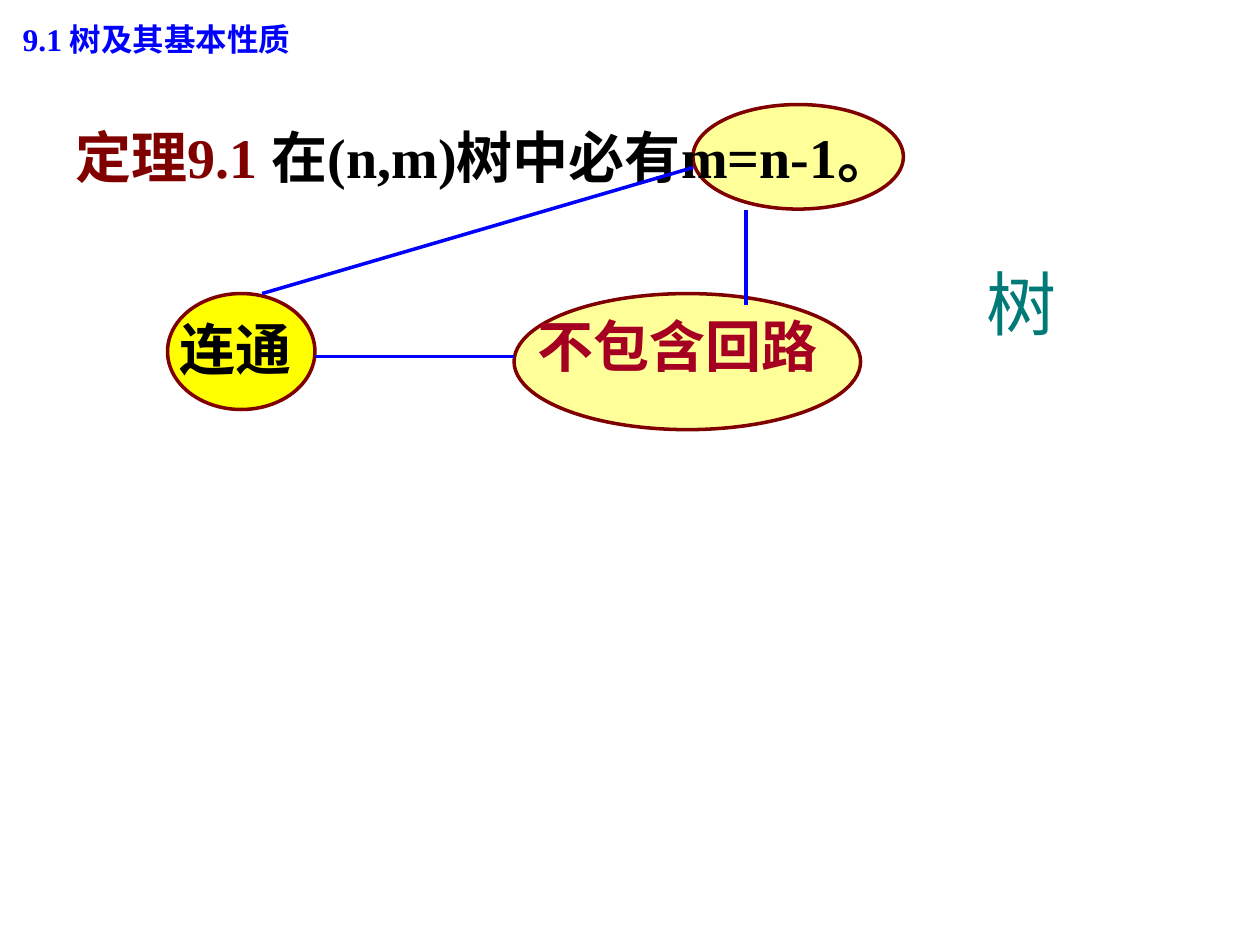
from dataclasses import dataclass

import pptx
import pptx.dml.color
import pptx.enum.shapes
import pptx.enum.text
import pptx.oxml.ns
import pptx.util
from lxml import etree

Inches = pptx.util.Inches
CJK = "Noto Sans CJK SC"
TIMES = "Times New Roman"
MAROON, BLUE, BLACK, PALE_YELLOW = "800000", "0000FF", "000000", "FFFF99"


@dataclass
class Box:
    left: float
    top: float
    width: float
    height: float

    def lengths(self) -> list[int]:
        return [Inches(v) for v in (self.left, self.top, self.width, self.height)]


@dataclass
class Run:
    text: str
    font: str
    color: str
    size: int = 32
    bold: bool = True


@dataclass
class Oval:
    box: Box
    fill: str


@dataclass
class Label:
    box: Box
    runs: list[Run]


@dataclass
class Link:
    start: tuple[float, float]
    end: tuple[float, float]


OVALS = [
    Oval(Box(4.08, 2.33, 2.75, 1.08), PALE_YELLOW),
    Oval(Box(1.33, 2.33, 1.17, 0.92), "FFFF00"),
    Oval(Box(5.5, 0.83, 1.67, 0.83), PALE_YELLOW),
]
THEOREM = Label(Box(0.5, 0.92, 8, 0.64), [
    Run("定理", CJK, MAROON),
    Run("9.1 ", TIMES, MAROON),
    Run("在", CJK, BLACK),
    Run("(n,m)", TIMES, BLACK),
    Run("树中必有", CJK, BLACK),
    Run("m=n-1", TIMES, BLACK),
    Run("。", CJK, BLACK),
])
CONDITIONS = [
    Label(Box(1.33, 2.45, 1.6, 0.63), [Run("连通", "Arial", BLACK)]),
    Label(Box(4.17, 2.42, 3.18, 0.63), [Run("不包含回路", "Arial", "A50021")]),
]
LINKS = [
    Link((2.08, 2.33), (5.5, 1.33)),
    Link((5.92, 2.42), (5.92, 1.67)),
    Link((2.5, 2.83), (4.08, 2.83)),
]
TREE = Label(Box(7.73, 2.02, 2.02, 0.77), [Run("树", "Arial", "007A77", 40, False)])
SECTION = Label(Box(0.08, 0.11, 3, 0.4), [
    Run("9.1 ", TIMES, BLUE, 18),
    Run("树及其基本性质", CJK, BLUE, 18),
])


def rgb(color: str) -> pptx.dml.color.RGBColor:
    return pptx.dml.color.RGBColor.from_string(color)


def set_line(line, color: str) -> None:
    line.color.rgb = rgb(color)
    line.width = pptx.util.Pt(2)


def add_oval(slide, oval: Oval) -> None:
    shape = slide.shapes.add_shape(
        pptx.enum.shapes.MSO_SHAPE.OVAL, *oval.box.lengths())
    shape.shadow.inherit = False
    shape.fill.solid()
    shape.fill.fore_color.rgb = rgb(oval.fill)
    set_line(shape.line, MAROON)


def add_link(slide, link: Link) -> None:
    connector = slide.shapes.add_connector(
        pptx.enum.shapes.MSO_CONNECTOR.STRAIGHT,
        *[Inches(v) for v in link.start + link.end])
    set_line(connector.line, BLUE)
    etree.SubElement(connector._element.spPr, pptx.oxml.ns.qn("a:effectLst"))


def write_runs(frame, runs: list[Run]) -> None:
    frame_format = {
        "word_wrap": True,
        "auto_size": pptx.enum.text.MSO_AUTO_SIZE.SHAPE_TO_FIT_TEXT,
        "vertical_anchor": pptx.enum.text.MSO_ANCHOR.TOP,
    }
    for name, value in frame_format.items():
        setattr(frame, name, value)
    paragraph = frame.paragraphs[0]
    paragraph.alignment = pptx.enum.text.PP_ALIGN.LEFT
    for item in runs:
        run = paragraph.add_run()
        run.text = item.text
        run.font.color.rgb = rgb(item.color)
        font_format = {"name": item.font, "size": pptx.util.Pt(item.size),
                       "bold": item.bold}
        for name, value in font_format.items():
            setattr(run.font, name, value)
        east_asian = etree.SubElement(
            run._r.get_or_add_rPr(), pptx.oxml.ns.qn("a:ea"))
        east_asian.set("typeface", CJK)


def add_label(slide, label: Label) -> None:
    textbox = slide.shapes.add_textbox(*label.box.lengths())
    write_runs(textbox.text_frame, label.runs)


def place_title(slide, label: Label) -> None:
    title = slide.shapes.title
    title.left, title.top, title.width, title.height = label.box.lengths()
    write_runs(title.text_frame, label.runs)


def main() -> None:
    presentation = pptx.Presentation()
    presentation.slide_width = Inches(10)
    presentation.slide_height = Inches(7.5)
    slide = presentation.slides.add_slide(presentation.slide_layouts[5])
    place_title(slide, SECTION)
    for oval in OVALS:
        add_oval(slide, oval)
    for label in [THEOREM, *CONDITIONS]:
        add_label(slide, label)
    for link in LINKS:
        add_link(slide, link)
    add_label(slide, TREE)
    presentation.save("out.pptx")


if __name__ == "__main__":
    main()
